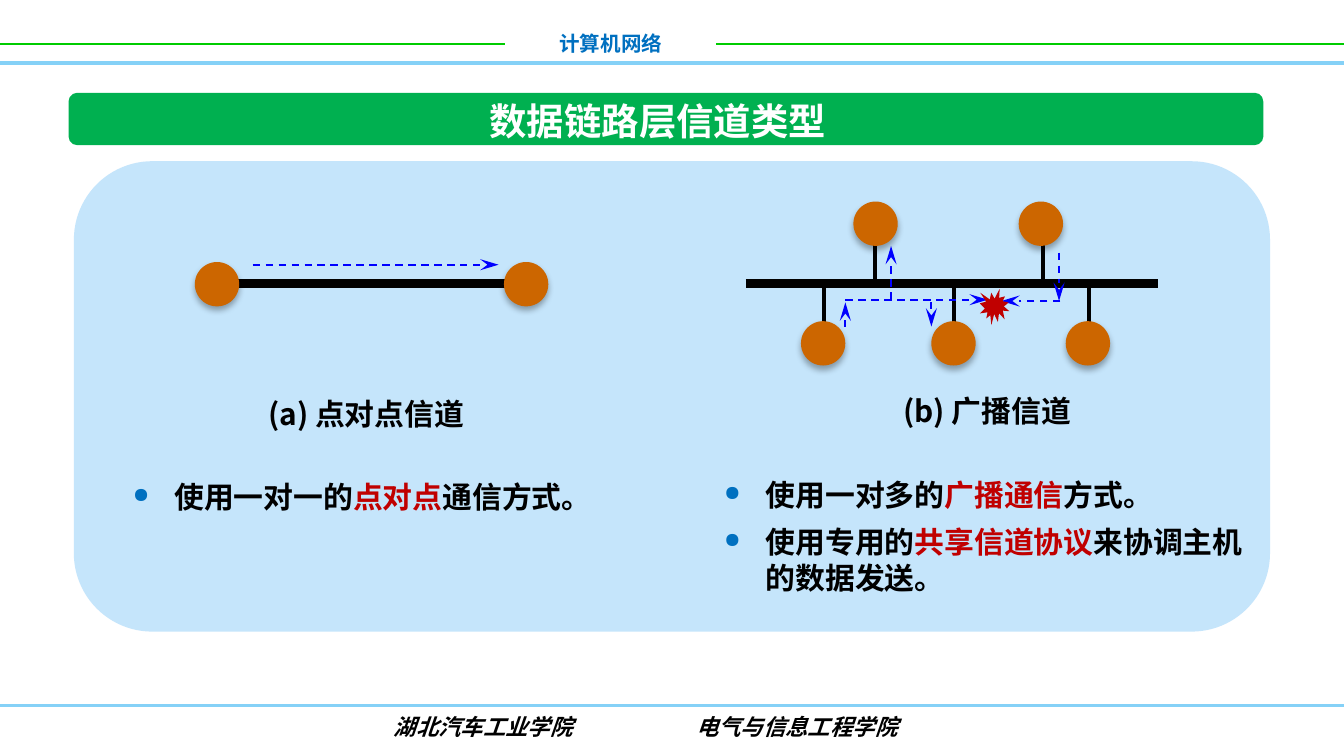
from lxml import etree
from pptx import Presentation
from pptx.dml.color import RGBColor
from pptx.enum import dml, shapes, text
from pptx.oxml.ns import qn
from pptx.util import Inches, Pt

BLACK = RGBColor(0, 0, 0)
WHITE = RGBColor(255, 255, 255)
GREEN_RULE = RGBColor(0x00, 0xCC, 0x00)
SKY_RULE = RGBColor(0x85, 0xD1, 0xF7)
BANNER = RGBColor(0x00, 0xB0, 0x50)
PANEL = RGBColor(0xC5, 0xE5, 0xFB)
HOST = RGBColor(0xCC, 0x66, 0x00)
SIGNAL = RGBColor(0, 0, 0xFF)
RED = RGBColor(0xC0, 0, 0)
BLUE = RGBColor(0x00, 0x70, 0xC0)

CJK_FONT = "Noto Sans CJK SC"
BODY_SIZE = 16
LINE_RATIO = 1.21
HOST_SIZE = 0.33
BUS_Y = 2.11
INDENT = 0.31


def add_xml(parent, tag, **attributes):
    return etree.SubElement(parent, qn(tag), attributes)


def add_line(slide, start, end, color, width):
    line = slide.shapes.add_connector(
        shapes.MSO_CONNECTOR.STRAIGHT, *map(Inches, (*start, *end)))
    line.line.color.rgb = color
    line.line.width = Pt(width)
    add_xml(line._element.spPr, "a:effectLst")
    return line


def add_signal(slide, start, end, arrow="a:tailEnd"):
    """Dashed signal path with an arrowhead at one end."""
    line = add_line(slide, start, end, SIGNAL, 1)
    line.line.dash_style = dml.MSO_LINE.DASH
    add_xml(line.line._get_or_add_ln(), arrow, type="stealth", w="med", len="lg")


def add_filled(slide, kind, box, color):
    shape = slide.shapes.add_shape(kind, *map(Inches, box))
    shape.shadow.inherit = False
    shape.fill.solid()
    shape.fill.fore_color.rgb = color
    shape.line.fill.background()
    return shape


def add_host(slide, left, top):
    host = add_filled(slide, shapes.MSO_SHAPE.OVAL,
                      (left, top, HOST_SIZE, HOST_SIZE), HOST)
    effects = host._element.spPr.find(qn("a:effectLst"))
    shadow = add_xml(effects, "a:outerShdw", blurRad=str(Pt(3.5)),
                     dist=str(Pt(2.2)), dir="5400000", rotWithShape="0")
    add_xml(add_xml(shadow, "a:srgbClr", val=str(BLACK)), "a:alpha", val="32000")


def add_text_box(slide, box, wrap=True):
    frame = slide.shapes.add_textbox(*map(Inches, box)).text_frame
    frame.word_wrap = wrap
    return frame


def add_run(paragraph, words, size, color, font=CJK_FONT, italic=False):
    run = paragraph.add_run()
    run.text = words
    formats = {"size": Pt(size), "name": font, "bold": True, "italic": italic}
    for name, value in formats.items():
        setattr(run.font, name, value)
    run.font.color.rgb = color
    if font == CJK_FONT:
        add_xml(run._r.get_or_add_rPr(), "a:ea", typeface=font)
        paragraph.line_spacing = Pt(round(size * LINE_RATIO, 1))


def add_label(slide, box, words, size, color, font=CJK_FONT, wrap=True):
    paragraph = add_text_box(slide, box, wrap).paragraphs[0]
    paragraph.alignment = text.PP_ALIGN.CENTER
    add_run(paragraph, words, size, color, font)


def add_footer(slide, school, college):
    frame = add_text_box(slide, (1.02, 5.26, 7.56, 0.3))
    frame.margin_left = Inches(1.91)
    paragraph = frame.paragraphs[0]
    tabs = add_xml(paragraph._p.get_or_add_pPr(), "a:tabLst")
    add_xml(tabs, "a:tab", pos=str(Inches(2.25)), algn="l")
    add_run(paragraph, f"{school}\t{college}", 12, BLACK, "Arial", italic=True)


def add_description(slide, box, caption, points):
    """Centred caption over bullets, each a (before, key term, after) triple."""
    frame = add_text_box(slide, box)
    paragraph = frame.paragraphs[0]
    paragraph.alignment = text.PP_ALIGN.CENTER
    add_run(paragraph, caption, BODY_SIZE, BLACK)
    for index, point in enumerate(points):
        paragraph = frame.add_paragraph()
        properties = paragraph._p.get_or_add_pPr()
        properties.set("marL", str(Inches(INDENT)))
        properties.set("indent", str(-Inches(INDENT)))
        add_xml(add_xml(properties, "a:buClr"), "a:srgbClr", val=str(BLUE))
        add_xml(properties, "a:buSzPct", val="70000")
        add_xml(properties, "a:buChar", char="●")
        paragraph.space_before = Pt(6 if index else 25.4)
        for words, color in zip(point, (BLACK, RED, BLACK)):
            add_run(paragraph, words, BODY_SIZE, color)


def add_frame(slide):
    add_line(slide, (0, 0.33), (3.76, 0.33), GREEN_RULE, 1)
    add_line(slide, (5.33, 0.33), (10, 0.33), GREEN_RULE, 1)
    add_line(slide, (0, 0.47), (10, 0.47), SKY_RULE, 2)
    add_line(slide, (0, 5.25), (10, 5.25), SKY_RULE, 1.5)
    add_label(slide, (3.76, 0.18, 1.57, 0.29), "计算机网络", 11, BLUE)
    add_footer(slide, "湖北汽车工业学院", "电气与信息工程学院")
    rounded = shapes.MSO_SHAPE.ROUNDED_RECTANGLE
    add_filled(slide, rounded, (0.51, 0.69, 8.89, 0.39), BANNER)
    add_filled(slide, rounded, (0.55, 1.2, 8.9, 3.5), PANEL)
    add_label(slide, (3.53, 0.68, 2.73, 0.44), "数据链路层信道类型", 20, WHITE,
              "Calibri", wrap=False)


def add_point_to_point(slide):
    add_line(slide, (1.61, BUS_Y), (3.91, BUS_Y), BLACK, 4.5)
    for left in (1.45, 3.75):
        add_host(slide, left, 1.95)
    add_signal(slide, (1.88, 1.97), (3.71, 1.97))


def add_broadcast(slide):
    add_line(slide, (5.55, BUS_Y), (8.62, BUS_Y), BLACK, 4.5)
    rows = (
        (1.5, 1.79, ((6.35, 6.51), (7.58, 7.76))),
        (2.39, 2.45, ((5.96, 6.13), (6.93, 7.1), (7.93, 8.1))),
    )
    for host_top, stub_end, hosts in rows:
        for host_left, stub_x in hosts:
            add_line(slide, (stub_x, 2.12), (stub_x, stub_end), BLACK, 2.25)
            add_host(slide, host_left, host_top)
    add_signal(slide, (7.89, 2.24), (7.45, 2.24))
    add_signal(slide, (7.88, 1.88), (7.88, 2.24))
    add_signal(slide, (6.29, 2.23), (7.35, 2.23))
    add_signal(slide, (6.63, 2.23), (6.63, 1.83))
    add_signal(slide, (6.93, 2.25), (6.93, 2.43))
    add_signal(slide, (6.29, 2.25), (6.29, 2.43), "a:headEnd")
    add_filled(slide, shapes.MSO_SHAPE.EXPLOSION1, (7.29, 2.15, 0.22, 0.27), RED)


def main():
    presentation = Presentation()
    presentation.slide_width = Inches(10)
    presentation.slide_height = presentation.slide_width * 9 // 16
    slide = presentation.slides.add_slide(presentation.slide_layouts[6])
    add_frame(slide)
    add_point_to_point(slide)
    add_broadcast(slide)
    add_description(slide, (0.89, 2.89, 3.67, 0.99), "(a) 点对点信道", [
        ("使用一对一的", "点对点", "通信方式。"),
    ])
    add_description(slide, (5.29, 2.87, 4.11, 1.62), "(b) 广播信道", [
        ("使用一对多的", "广播通信", "方式。"),
        ("使用专用的", "共享信道协议", "来协调主机的数据发送。"),
    ])
    presentation.save("out.pptx")


if __name__ == "__main__":
    main()
